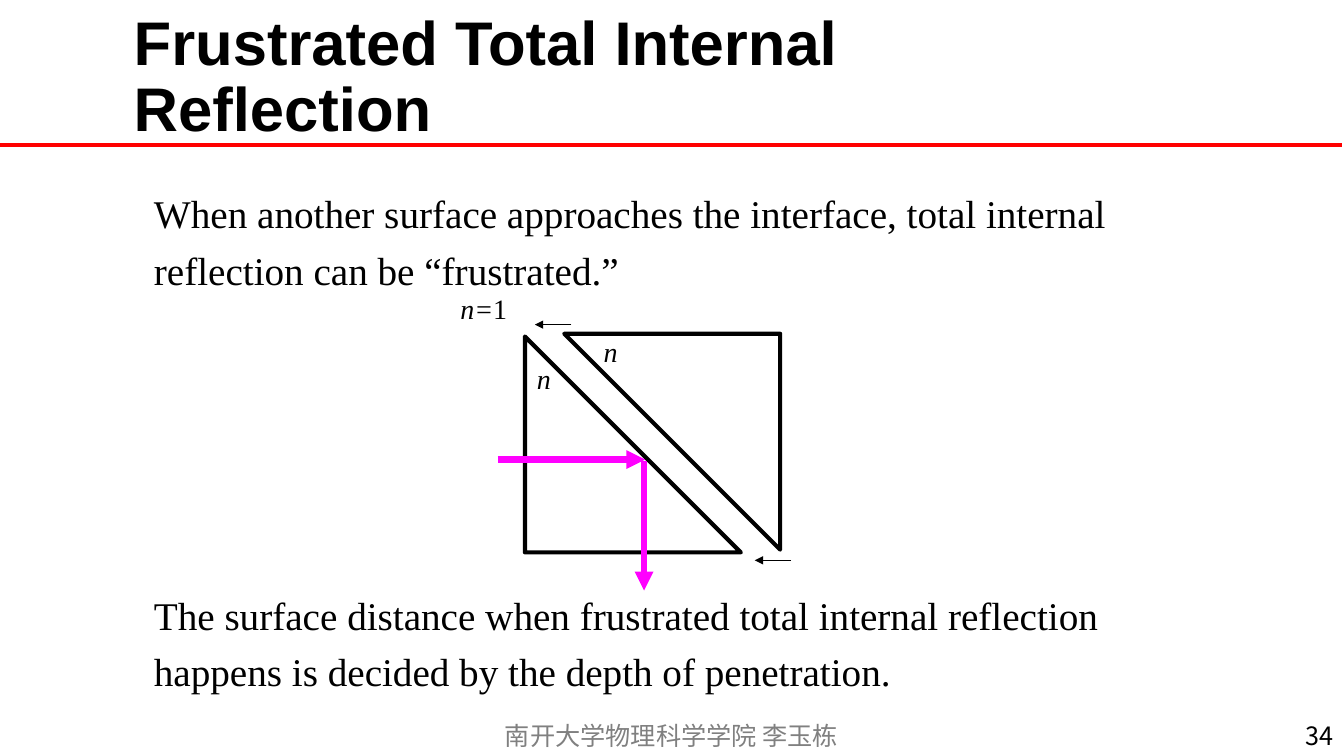
"""Build the slide on frustrated total internal reflection."""
from dataclasses import dataclass

from lxml import etree
from pptx import Presentation
from pptx import util as u
from pptx.dml.color import RGBColor
from pptx.enum import shapes, text
from pptx.oxml import ns


@dataclass(frozen=True)
class Theme:
    """Colours, fonts and sizes of the slide."""
    ink: str = "000000"
    paper: str = "FFFFFF"
    muted: str = "808080"
    rule: str = "FF0000"
    ray: str = "FF00FF"
    head_font: str = "Arial"
    body_font: str = "Times New Roman"
    foot_font: str = "Noto Sans CJK SC"
    title_size: int = 44
    body_size: int = 28
    label_size: int = 20
    foot_size: int = 18
    thin: float = 0.75
    edge: float = 3
    ray_width: float = 4.5


def apply(target, values):
    """Set each named attribute on the target."""
    for name, value in values.items():
        setattr(target, name, value)


class Board:
    """Draw styled elements on one slide."""

    def __init__(self, s, theme):
        """Keep the slide and its theme."""
        self.s = s
        self.theme = theme

    def text(self, box, runs, font, size, color=None, bold=False, frame=None, para=None):
        """Add a text box holding one paragraph of (text, italic) runs."""
        sp = self.s.shapes.add_textbox(*map(u.Cm, box))
        tf = sp.text_frame
        apply(tf, {"word_wrap": True, **(frame or {})})
        p = tf.paragraphs[0]
        apply(p, para or {})
        for words, italic in runs:
            r = p.add_run()
            r.text = words
            apply(r.font, {"name": font, "size": u.Pt(size), "bold": bold, "italic": italic})
            r.font.color.rgb = RGBColor.from_string(color or self.theme.ink)
            etree.SubElement(r.font._element, ns.qn("a:ea"), typeface=font)

    def body(self, box, words, before):
        """Add a paragraph of body text."""
        self.text(box, [(words, False)], self.theme.body_font, self.theme.body_size,
                  para={"line_spacing": 1.2, "space_before": u.Pt(before)})

    def label(self, box, *runs):
        """Add a short diagram label."""
        self.text(box, runs, self.theme.body_font, self.theme.label_size,
                  frame={"word_wrap": False})

    def prism(self, left, top, side, rotation=0):
        """Add a right-angled prism."""
        sp = self.s.shapes.add_shape(shapes.MSO_SHAPE.RIGHT_TRIANGLE,
                                     *map(u.Cm, (left, top, side, side)))
        apply(sp, {"rotation": rotation})
        sp.shadow.inherit = False
        sp.fill.solid()
        sp.fill.fore_color.rgb = RGBColor.from_string(self.theme.paper)
        sp.line.color.rgb = RGBColor.from_string(self.theme.ink)
        sp.line.width = u.Pt(self.theme.edge)

    def line(self, points, color, width, arrow=True):
        """Add a straight line, with an arrowhead at its end if wanted."""
        sp = self.s.shapes.add_connector(shapes.MSO_CONNECTOR.STRAIGHT, *map(u.Cm, points))
        sp.line.color.rgb = RGBColor.from_string(color)
        sp.line.width = u.Pt(width)
        if arrow:
            etree.SubElement(sp.line._get_or_add_ln(), ns.qn("a:tailEnd"), type="triangle")
        etree.SubElement(sp._element.spPr, ns.qn("a:effectLst"))


def main():
    """Compose and save the slide."""
    theme = Theme()
    prs = Presentation()
    apply(prs, {"slide_width": u.Cm(33.87), "slide_height": u.Cm(19.05)})
    board = Board(prs.slides.add_slide(prs.slide_layouts[6]), theme)

    board.text((12.34, 18.03, 9.17, 1.02), [("南开大学物理科学学院 李玉栋", False)],
               theme.foot_font, theme.foot_size, theme.muted,
               frame={"word_wrap": False}, para={"alignment": text.PP_ALIGN.CENTER})
    board.text((3.12, 1.35, 26.21, 1.27), [("Frustrated Total Internal Reflection", False)],
               theme.head_font, theme.title_size, bold=True,
               frame={"vertical_anchor": text.MSO_ANCHOR.MIDDLE, "margin_right": u.Cm(2)},
               para={"line_spacing": 0.9})
    board.body((3.63, 4.42, 25.7, 2.79),
               "When another surface approaches the interface, total internal "
               "reflection can be “frustrated.”", 10)
    board.text((26.24, 18.03, 7.62, 1.02), [("34", False)], theme.foot_font,
               theme.foot_size, para={"alignment": text.PP_ALIGN.RIGHT})
    board.body((3.63, 14.53, 25.93, 3), "The surface distance when frustrated total internal "
               "reflection happens is decided by the depth of penetration.", 5.6)

    board.prism(13.23, 8.48, 5.44)
    board.prism(14.22, 8.41, 5.44, rotation=180)
    for ray in ((12.55, 11.58, 16.26, 11.58), (16.23, 11.61, 16.23, 14.88)):
        board.line(ray, theme.ray, theme.ray_width)
    for left, top in ((13.28, 8.99), (14.96, 8.31)):
        board.label((left, top, 0.86, 1.09), ("n", True))
    for start, y in ((19.94, 14.12), (14.4, 8.18)):
        board.line((start, y, start - 0.92, y), theme.ink, theme.thin)
    board.label((11.35, 7.21, 1.7, 1.09), ("n=", True), ("1", False))
    board.line((0, 3.66, 33.81, 3.66), theme.rule, theme.edge, arrow=False)
    prs.save("out.pptx")


if __name__ == "__main__":
    main()
